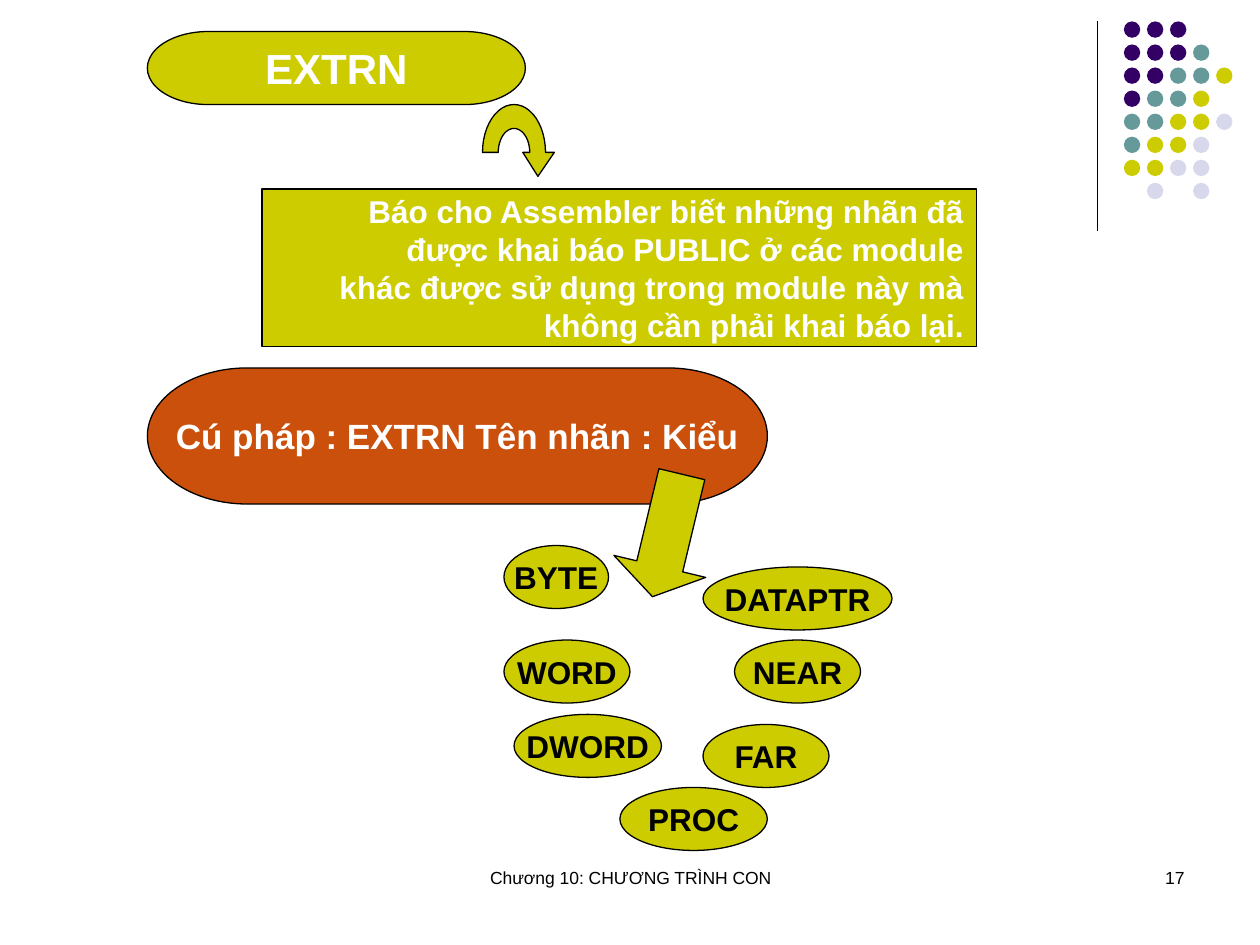
import math

import pptx
import pptx.dml.color
import pptx.enum.shapes
import pptx.enum.text
import pptx.oxml.ns
import pptx.util
from lxml import etree

Inches = pptx.util.Inches
Pt = pptx.util.Pt
SHAPE = pptx.enum.shapes.MSO_SHAPE
ALIGN = pptx.enum.text.PP_ALIGN
ANCHOR = pptx.enum.text.MSO_ANCHOR

FONT = "Arial"
OLIVE, ORANGE, BLACK, WHITE = "CCCC00", "CB500B", "000000", "FFFFFF"
DOT_COLORS = {"P": "330066", "T": "669999", "O": OLIVE, "L": "D8D8EC"}
DOT_ROWS = ["PPP", "PPPT", "PPTTO", "PTTO", "TTOOL", "TOOL", "OOLL", " L L"]

# label, left, top, width
LABEL_TYPES = [
    ("BYTE", 4, 4.33, 0.83),
    ("WORD", 4, 5.08, 1),
    ("DATAPTR", 5.58, 4.5, 1.5),
    ("PROC", 4.92, 6.25, 1.17),
    ("FAR", 5.58, 5.75, 1),
    ("NEAR", 5.83, 5.08, 1),
    ("DWORD", 4.08, 5.67, 1.17),
]
DESCRIPTION = (
    "Báo cho Assembler biết những nhãn đã\n"
    "được khai báo PUBLIC ở các module\n"
    "khác được sử dụng trong module này mà\n"
    "không cần phải khai báo lại."
)


def color(hex_string):
    return pptx.dml.color.RGBColor.from_string(hex_string)


def paint(shape, fill, line=BLACK):
    shape.shadow.inherit = False
    shape.fill.solid()
    shape.fill.fore_color.rgb = color(fill)
    if line:
        shape.line.color.rgb = color(line)
        shape.line.width = Pt(0.75)
    else:
        shape.line.fill.background()


def write(shape, text, size, text_color, align, bold=False):
    paragraph = shape.text_frame.paragraphs[0]
    paragraph.text = text
    paragraph.alignment = align
    paragraph.font.name = FONT
    paragraph.font.size = Pt(size)
    paragraph.font.bold = bold
    paragraph.font.color.rgb = color(text_color)


def add_labelled_shape(slide, kind, box, text, size, fill, text_color, align=ALIGN.CENTER):
    shape = slide.shapes.add_shape(kind, *map(Inches, box))
    paint(shape, fill)
    shape.text_frame.word_wrap = False
    shape.text_frame.vertical_anchor = ANCHOR.MIDDLE
    write(shape, text, size, text_color, align, bold=True)


def add_corner_decoration(slide, left, top, height):
    """Vertical rule with a grid of coloured dots to its right."""
    x = Inches(left)
    rule = slide.shapes.add_connector(
        pptx.enum.shapes.MSO_CONNECTOR.STRAIGHT, x, Inches(top), x, Inches(top + height))
    rule.line.color.rgb = color(BLACK)
    rule.line.width = Pt(0.75)
    etree.SubElement(rule._element.spPr, pptx.oxml.ns.qn("a:effectLst"))

    pitch, diameter = 0.183, Inches(0.13)
    dots = slide.shapes.add_group_shape()
    for row, codes in enumerate(DOT_ROWS):
        for column, code in enumerate(codes):
            if code in DOT_COLORS:
                dot = dots.shapes.add_shape(
                    SHAPE.OVAL, Inches(left + 0.21 + column * pitch),
                    Inches(top + row * pitch), diameter, diameter)
                paint(dot, DOT_COLORS[code], line=None)


def add_curved_arrow(slide, left, top, radius_x, radius_y):
    """Half-ring arrow that ends in a downward head on its right."""
    center_x, base = left + radius_x, top + radius_y
    steps = 24

    def arc(scale):
        angles = [math.pi * step / steps for step in range(steps + 1)]
        return [(center_x + scale * radius_x * math.cos(angle),
                 base - scale * radius_y * math.sin(angle)) for angle in angles]

    head_left, tip, head_right = center_x + 0.07, center_x + 0.19, center_x + 0.32
    points = arc(0.5) + arc(1)[::-1] + [(head_right, base), (tip, base + 0.19), (head_left, base)]
    points = [(Inches(x), Inches(y)) for x, y in points]
    builder = slide.shapes.build_freeform(*points[0])
    builder.add_line_segments(points[1:], close=True)
    paint(builder.convert_to_shape(), OLIVE)


def add_label_types(slide):
    for text, left, top, width in LABEL_TYPES:
        add_labelled_shape(slide, SHAPE.OVAL, (left, top, width, 0.5), text, 18, OLIVE, BLACK)


def add_down_arrow(slide, box, rotation):
    arrow = slide.shapes.add_shape(SHAPE.DOWN_ARROW, *map(Inches, box))
    arrow.adjustments[0], arrow.adjustments[1] = 0.5, 0.33
    arrow.rotation = rotation
    paint(arrow, OLIVE)


def add_footer_text(slide, box, text, align):
    text_box = slide.shapes.add_textbox(*map(Inches, box))
    text_box.text_frame.word_wrap = True
    write(text_box, text, 10, BLACK, align)


def main():
    presentation = pptx.Presentation()
    presentation.slide_width, presentation.slide_height = Inches(10), Inches(7.5)
    slide = presentation.slides.add_slide(presentation.slide_layouts[6])

    add_corner_decoration(slide, 8.71, 0.17, 1.66)
    add_footer_text(slide, (3.42, 6.83, 3.17, 0.5), "Chương 10: CHƯƠNG TRÌNH CON", ALIGN.CENTER)
    add_footer_text(slide, (7.17, 6.83, 2.33, 0.5), "17", ALIGN.RIGHT)

    add_labelled_shape(slide, SHAPE.FLOWCHART_TERMINATOR, (1.17, 0.25, 3, 0.58),
                       "EXTRN", 24, OLIVE, WHITE)
    add_curved_arrow(slide, 3.83, 0.83, 0.25, 0.38)
    add_labelled_shape(slide, SHAPE.FLOWCHART_PROCESS, (2.08, 1.5, 5.67, 1.25),
                       DESCRIPTION, 18, OLIVE, WHITE, ALIGN.RIGHT)
    add_labelled_shape(slide, SHAPE.FLOWCHART_TERMINATOR, (1.17, 2.92, 4.92, 1.08),
                       "Cú pháp : EXTRN Tên nhãn : Kiểu", 20, ORANGE, WHITE)
    add_label_types(slide)
    add_down_arrow(slide, (4.92, 3.75, 0.75, 1), 13.5)

    presentation.save("out.pptx")


if __name__ == "__main__":
    main()
